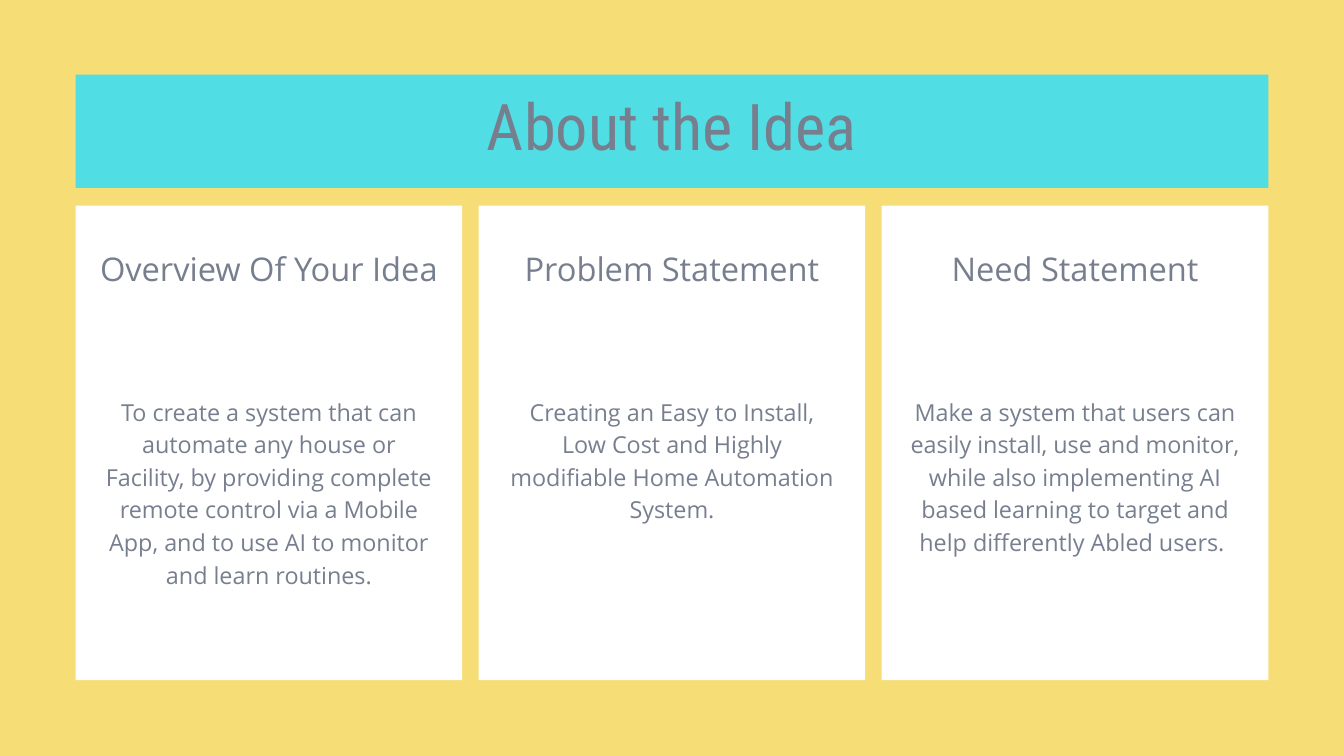
from pptx import Presentation
from pptx.dml.color import RGBColor
from pptx.enum.shapes import MSO_SHAPE
from pptx.enum.text import MSO_ANCHOR, PP_ALIGN
from pptx.util import Pt

TITLE = "About the Idea"
CARDS = [
    ("Overview Of Your Idea",
     "To create a system that can automate any house or Facility, by providing complete "
     "remote control via a Mobile App, and to use AI to monitor and learn routines."),
    ("Problem Statement",
     "Creating an Easy to Install, Low Cost and Highly modifiable Home Automation System."),
    ("Need Statement",
     "Make a system that users can easily install, use and monitor, while also implementing "
     "AI based learning to target and help differently Abled users. "),
]

YELLOW, CYAN, WHITE, GRAY = "F6DD76", "50DEE4", "FFFFFF", "777F8F"
SLIDE_WIDTH, SLIDE_HEIGHT = 960, 540
MARGIN = 54
BANNER_TOP, BANNER_HEIGHT = 53.3, 81
CARD_TOP, CARD_HEIGHT = 146.9, 339
CARD_WIDTH, CARD_GAP = 276.2, 11.7
HEADING_TOP, HEADING_HEIGHT = 172.8, 31
BODY_TOP, BODY_HEIGHT, BODY_INSET = 280.8, 138, 20.2
TITLE_TOP, TITLE_HEIGHT, TITLE_WIDTH = 75.6, 43.2, 368


def color(hex_value):
    return RGBColor.from_string(hex_value)


def add_panel(slide, left, top, width, height, fill):
    panel = slide.shapes.add_shape(
        MSO_SHAPE.RECTANGLE, Pt(left), Pt(top), Pt(width), Pt(height))
    panel.shadow.inherit = False
    panel.fill.solid()
    panel.fill.fore_color.rgb = color(fill)
    panel.line.fill.background()


def add_text(slide, text, left, top, width, height, font, size, line_spacing):
    """Add a centred text box without insets."""
    box = slide.shapes.add_textbox(Pt(left), Pt(top), Pt(width), Pt(height))
    frame = box.text_frame
    frame.word_wrap = True
    frame.vertical_anchor = MSO_ANCHOR.TOP
    frame.margin_left = frame.margin_right = frame.margin_top = frame.margin_bottom = 0
    para = frame.paragraphs[0]
    para.alignment = PP_ALIGN.CENTER
    para.line_spacing = Pt(line_spacing)
    span = para.add_run()
    span.text = text
    span.font.name = font
    span.font.size = Pt(size)
    span.font.color.rgb = color(GRAY)


def main():
    deck = Presentation()
    deck.slide_width, deck.slide_height = Pt(SLIDE_WIDTH), Pt(SLIDE_HEIGHT)
    page = deck.slides.add_slide(deck.slide_layouts[6])
    page.background.fill.solid()
    page.background.fill.fore_color.rgb = color(YELLOW)

    add_panel(page, MARGIN, BANNER_TOP, SLIDE_WIDTH - 2 * MARGIN, BANNER_HEIGHT, CYAN)
    add_text(page, TITLE, (SLIDE_WIDTH - TITLE_WIDTH) / 2, TITLE_TOP,
             TITLE_WIDTH, TITLE_HEIGHT, "Roboto Condensed", 46, 41.4)

    for index, (heading, body) in enumerate(CARDS):
        left = MARGIN + index * (CARD_WIDTH + CARD_GAP)
        add_panel(page, left, CARD_TOP, CARD_WIDTH, CARD_HEIGHT, WHITE)
        add_text(page, heading, left, HEADING_TOP, CARD_WIDTH, HEADING_HEIGHT,
                 "Open Sans", 23.3, 32.7)
        add_text(page, body, left + BODY_INSET, BODY_TOP, CARD_WIDTH - 2 * BODY_INSET,
                 BODY_HEIGHT, "Open Sans", 16.7, 23.3)

    deck.save("out.pptx")


if __name__ == "__main__":
    main()
